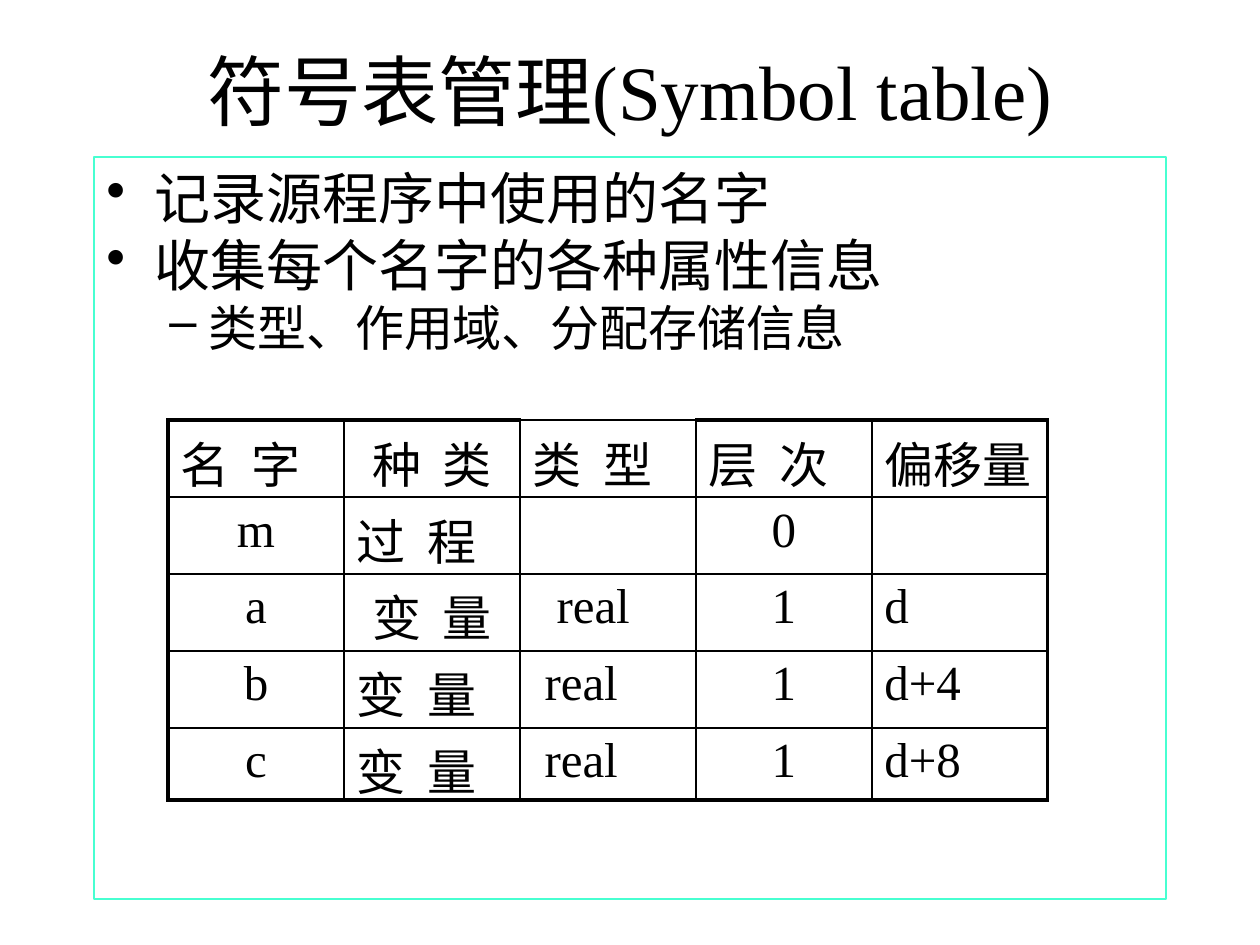
from dataclasses import dataclass
from lxml.etree import SubElement as Sub
from pptx import Presentation
from pptx.dml.color import RGBColor as Rgb
from pptx.enum.shapes import MSO_SHAPE as Kind
from pptx.enum.text import MSO_ANCHOR as Anchor, PP_ALIGN as Align
from pptx.oxml.ns import qn
from pptx.util import Emu, Pt


@dataclass(frozen=True)
class Theme:
    font: str = "Times New Roman"
    ink: str = "000000"
    frame: str = "47FFD1"
    title: int = 44
    point: int = 32
    detail: int = 28
    cell: int = 28
    thin: float = 1
    thick: float = 2.25


THEME = Theme()
SCALE = 914400 / 126
MID, JUST = Align.CENTER, Align.JUSTIFY
POINTS = [
    ("记录源程序中使用的名字", 0),
    ("收集每个名字的各种属性信息", 0),
    ("类型、作用域、分配存储信息", 1),
]
LEVELS = [("•", 48, -48, THEME.point), ("–", 102, -39, THEME.detail)]
ROWS = [
    ["名  字", "种  类", "类  型", "层  次", "偏移量"],
    ["m", "过  程", "", "0", ""],
    ["a", "变  量", "real", "1", "d"],
    ["b", "变  量", "real", "1", "d+4"],
    ["c", "变  量", "real", "1", "d+8"],
]
CENTRED = {(0, 1), (2, 1)} | {(r, c) for r in range(1, 5) for c in (0, 3)}
INDENTS = {(2, 2): 24, (3, 2): 12, (4, 2): 12}
HEIGHTS = [77, 77, 77, 77, 72]


def px(n):
    return Emu(round(n * SCALE))


def style(para, size, align):
    para.alignment = align
    for run in para.runs:
        run.font.name = THEME.font
        run.font.size = Pt(size)
        run.font.color.rgb = Rgb.from_string(THEME.ink)


def indent(para, left, first=0):
    props = para._p.get_or_add_pPr()
    props.set("marL", str(px(left)))
    props.set("indent", str(px(first)))
    return props


def add_title(slide, text, *area):
    frame = slide.shapes.add_textbox(*map(px, area)).text_frame
    frame.word_wrap = True
    frame.vertical_anchor = Anchor.MIDDLE
    frame.text = text
    style(frame.paragraphs[0], THEME.title, MID)


def add_body(slide, points, *area):
    box = slide.shapes.add_shape(Kind.RECTANGLE, *map(px, area))
    box.shadow.inherit = False
    box.fill.background()
    box.line.color.rgb = Rgb.from_string(THEME.frame)
    box.line.width = Pt(0.75)
    frame = box.text_frame
    frame.word_wrap = True
    frame.vertical_anchor = Anchor.TOP
    frame.text = "\n".join(text for text, _ in points)
    for para, (_, level) in zip(frame.paragraphs, points):
        mark, left, first, size = LEVELS[level]
        para.level = level
        Sub(indent(para, left, first), qn("a:buChar"), char=mark)
        style(para, size, Align.LEFT)


def set_edge(cell, side, width):
    line = Sub(cell._tc.get_or_add_tcPr(), qn(f"a:ln{side}"), w=str(Pt(width)))
    fill = Sub(line, qn("a:solidFill"))
    Sub(fill, qn("a:srgbClr"), val=THEME.ink)


def add_grid(slide, rows, left, top, step):
    high, wide = len(rows), len(rows[0])
    area = left, top, step * wide, sum(HEIGHTS)
    table = slide.shapes.add_table(high, wide, *map(px, area)).table
    table.first_row = table.horz_banding = False
    for col in table.columns:
        col.width = px(step)
    for row, height in zip(table.rows, HEIGHTS):
        row.height = px(height)
    for r, row in enumerate(rows):
        for c, text in enumerate(row):
            cell = table.cell(r, c)
            cell.text = text
            para = cell.text_frame.paragraphs[0]
            indent(para, INDENTS.get((r, c), 0))
            style(para, THEME.cell, MID if (r, c) in CENTRED else JUST)
            outer = {
                "L": c == 0,
                "R": c == wide - 1,
                "T": r == 0 and c != 2,
                "B": r == high - 1,
            }
            for side, bold in outer.items():
                set_edge(cell, side, THEME.thick if bold else THEME.thin)
            cell.fill.background()


def main():
    deck = Presentation()
    deck.slide_width, deck.slide_height = px(1260), px(945)
    slide = deck.slides.add_slide(deck.slide_layouts[6])
    add_title(slide, "符号表管理(Symbol table)", 94, 53, 1072, 73)
    add_body(slide, POINTS, 94, 157, 1072, 742)
    add_grid(slide, ROWS, 168, 420, 176)
    deck.save("out.pptx")


if __name__ == "__main__":
    main()
